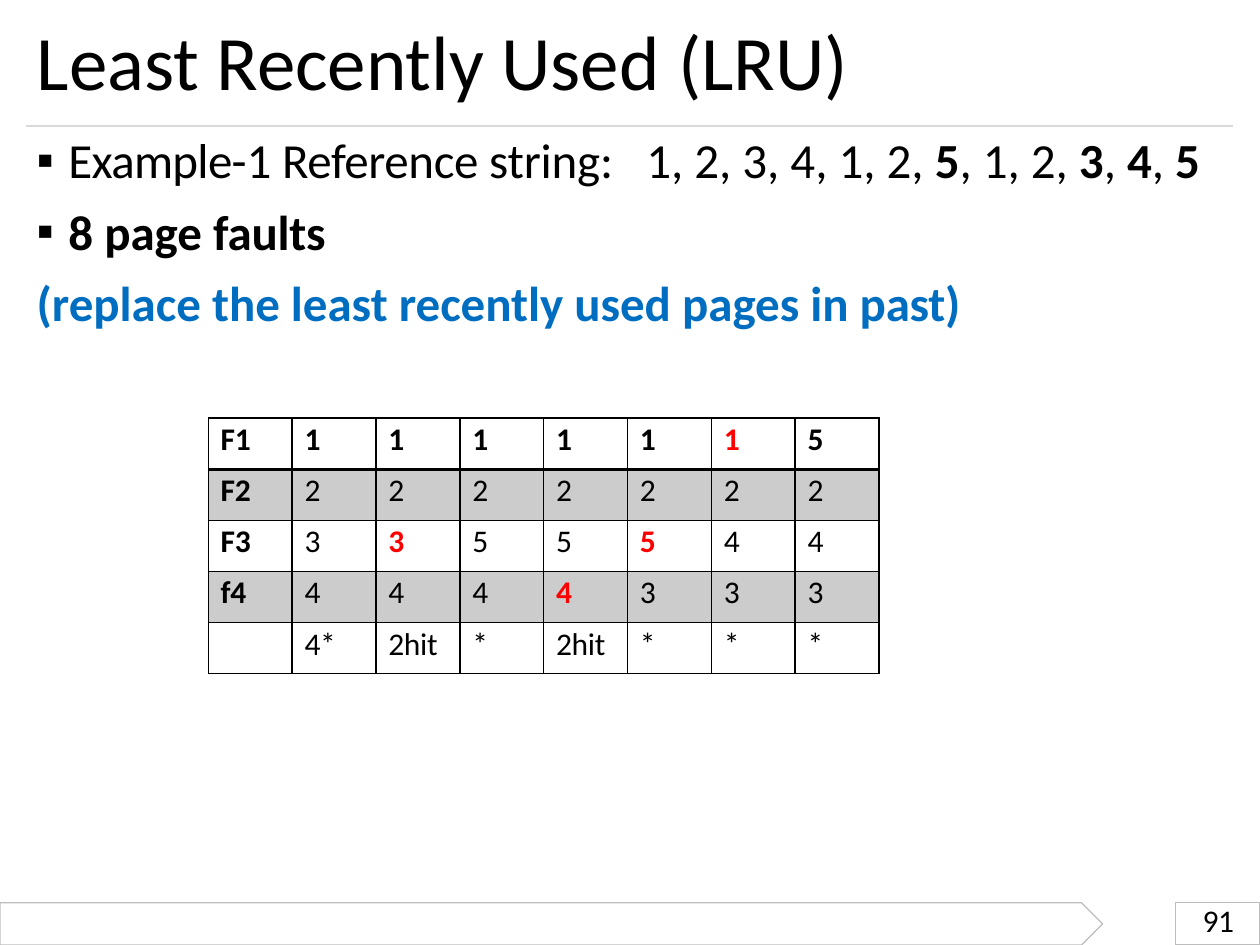
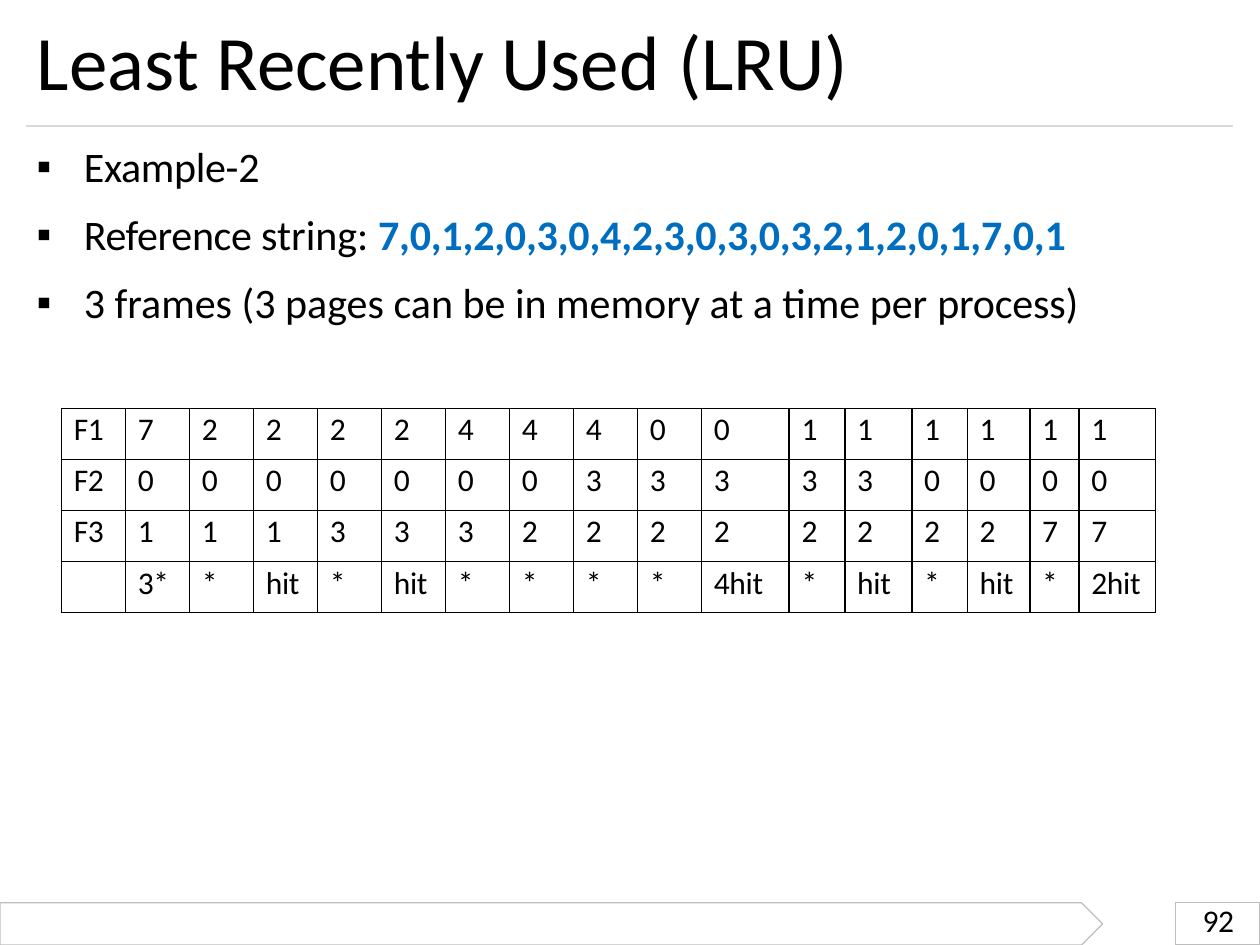
from typing import NamedTuple

from lxml.etree import SubElement
from pptx import Presentation
from pptx.dml.color import RGBColor
from pptx.enum.shapes import MSO_CONNECTOR, MSO_SHAPE
from pptx.enum.text import MSO_ANCHOR, MSO_AUTO_SIZE, PP_ALIGN
from pptx.oxml.ns import qn
from pptx.util import Cm, Pt

BLACK = RGBColor(0x00, 0x00, 0x00)
BLUE = RGBColor(0x00, 0x6E, 0xC0)
RED = RGBColor(0xFF, 0x00, 0x00)
BAND_GREY = RGBColor(0xCC, 0xCC, 0xCC)
FOOTER_GREY = RGBColor(0xBD, 0xBD, 0xBD)
RULE_GREY = RGBColor(0xD9, 0xD9, 0xD9)
FONT = "Calibri"
ROW_HEIGHT = 1.03


class Box(NamedTuple):
    """Place and size in centimetres."""
    left: float
    top: float
    width: float
    height: float

    def lengths(self):
        return [Cm(value) for value in self]


class Span(NamedTuple):
    """A stretch of text; spacing is in hundredths of a point."""
    text: str
    bold: bool = False
    color: RGBColor = BLACK
    spacing: int = 0


class Item(NamedTuple):
    """A body paragraph; hanging is its bullet indent in centimetres."""
    spans: list
    hanging: float = 0
    tab: float = 0


TITLE_BOX = Box(0.74, 0.25, 23.9, 1.93)
FOOTER_BOX = Box(0, 18.2, 25.4, 0.85)


def write_spans(para, spans, size):
    for span in spans:
        run = para.add_run()
        run.text = span.text
        run.font.name = FONT
        run.font.size = Pt(size)
        run.font.bold = span.bold
        run.font.color.rgb = span.color
        run._r.get_or_add_rPr().set("spc", str(span.spacing))


def prepare_frame(frame, top_margin=0):
    frame.word_wrap = True
    frame.auto_size = MSO_AUTO_SIZE.SHAPE_TO_FIT_TEXT
    frame.vertical_anchor = MSO_ANCHOR.TOP
    frame.margin_left = frame.margin_right = frame.margin_bottom = 0
    frame.margin_top = Cm(top_margin)


def place(shape, box):
    shape.left, shape.top, shape.width, shape.height = box.lengths()


def add_title(page, box):
    title = page.shapes.title
    place(title, box)
    prepare_frame(title.text_frame, 0.03)
    para = title.text_frame.paragraphs[0]
    para.alignment = PP_ALIGN.LEFT
    write_spans(para, [Span("Least Recently Used "), Span("(LRU)", spacing=-10)], 44)


def add_rule(page, box):
    """Draw the line that parts the title from the body, below the title box."""
    y = Cm(box.top + box.height + 0.36)
    rule = page.shapes.add_connector(
        MSO_CONNECTOR.STRAIGHT, Cm(box.left - 0.21), y, Cm(box.left + box.width + 0.22), y)
    rule.line.color.rgb = RULE_GREY
    rule.line.width = Pt(0.72)
    SubElement(rule._element.spPr, qn("a:effectLst"))


def add_outline(page, preset, box):
    outline = page.shapes.add_shape(preset, *box.lengths())
    outline.shadow.inherit = False
    outline.fill.background()
    outline.line.color.rgb = FOOTER_GREY
    outline.line.width = Pt(0.72)


def add_footer(page, box, number):
    add_outline(page, MSO_SHAPE.PENTAGON, box._replace(width=22.23))
    number_left = box.left + box.width - 1.7
    add_outline(page, MSO_SHAPE.RECTANGLE, box._replace(left=number_left, width=1.7))
    label = page.shapes.add_textbox(
        *Box(number_left + 0.43, box.top + 0.09, 0.86, 0.7).lengths())
    prepare_frame(label.text_frame)
    para = label.text_frame.paragraphs[0]
    para.alignment = PP_ALIGN.CENTER
    para.line_spacing = Pt(18.1)
    write_spans(para, [Span(str(number), spacing=-20)], 18)


def set_bullet(para, item):
    properties = para._p.get_or_add_pPr()
    properties.set("marL", str(Cm(item.hanging)))
    properties.set("indent", str(-Cm(item.hanging)))
    if item.hanging:
        SubElement(properties, qn("a:buChar"), char="▪")
    else:
        SubElement(properties, qn("a:buNone"))
    if item.tab:
        tabs = SubElement(properties, qn("a:tabLst"))
        SubElement(tabs, qn("a:tab"), pos=str(Cm(item.tab)), algn="l")


def add_body(page, box, items, size, gap, top_margin):
    body = page.placeholders[1]
    place(body, box)
    frame = body.text_frame
    prepare_frame(frame, top_margin)
    for index, item in enumerate(items):
        para = frame.add_paragraph() if index else frame.paragraphs[0]
        set_bullet(para, item)
        para.space_before = Pt(gap if index else 0)
        write_spans(para, item.spans, size)


def set_borders(cell, top, bottom):
    properties = cell._tc.get_or_add_tcPr()
    for side, width in (("L", 1), ("R", 1), ("T", top), ("B", bottom)):
        line = SubElement(properties, qn(f"a:ln{side}"), w=str(Pt(width)))
        fill = SubElement(line, qn("a:solidFill"))
        SubElement(fill, qn("a:srgbClr"), val=str(BLACK))


def add_frame_table(page, left, top, widths, rows, replaced=(), emphasis=False):
    """Add a table of page frames; replaced holds the (row, column) of red cells.

    Emphasis gives bold labels, a heavy line under the first row and grey bands.
    """
    box = Box(left, top, sum(widths), ROW_HEIGHT * len(rows))
    table = page.shapes.add_table(len(rows), len(widths), *box.lengths()).table
    table.first_row = table.horz_banding = False
    for column, width in zip(table.columns, widths):
        column.width = Cm(width)
    for r, values in enumerate(rows):
        table.rows[r].height = Cm(ROW_HEIGHT)
        for c, value in enumerate(values):
            cell = table.cell(r, c)
            set_borders(cell, top=2.25 if emphasis and r == 1 else 1,
                        bottom=2.25 if emphasis and r == 0 else 1)
            if emphasis and r % 2:
                cell.fill.solid()
                cell.fill.fore_color.rgb = BAND_GREY
            else:
                cell.fill.background()
            cell.margin_left, cell.margin_top = Cm(0.25), Cm(0.05)
            cell.margin_right = cell.margin_bottom = 0
            is_red = (r, c) in replaced
            bold = is_red or emphasis and (r == 0 or c == 0)
            if value:
                span = Span(value, bold, RED if is_red else BLACK, -20)
                write_spans(cell.text_frame.paragraphs[0], [span], 18)


def add_page(deck, number):
    page = deck.slides.add_slide(deck.slide_layouts[1])
    add_title(page, TITLE_BOX)
    add_rule(page, TITLE_BOX)
    add_footer(page, FOOTER_BOX, number)
    return page


def add_first_example(deck):
    page = add_page(deck, 91)
    items = [
        Item([Span("Example-", spacing=-40), Span("1"), Span(" Reference ", spacing=-20),
              Span("string:", spacing=-10), Span("\t1, 2, 3, 4, 1, 2, "),
              Span("5", True), Span(", 1, 2, "), Span("3", True), Span(", "),
              Span("4", True), Span(", "), Span("5", True, spacing=-50)],
             hanging=0.64, tab=12.29),
        Item([Span("8 page ", True), Span("faults", True, spacing=-10)], hanging=0.64),
        Item([Span("(replace the least recently used pages in ", True, BLUE),
              Span("past)", True, BLUE, -10)]),
    ]
    add_body(page, Box(0.74, 2.34, 23.52, 4.37), items, size=28, gap=7, top_margin=0.28)
    rows = [
        ["F1", "1", "1", "1", "1", "1", "1", "5"],
        ["F2", "2", "2", "2", "2", "2", "2", "2"],
        ["F3", "3", "3", "5", "5", "5", "4", "4"],
        ["f4", "4", "4", "4", "4", "3", "3", "3"],
        ["", "4*", "2hit", "*", "2hit", "*", "*", "*"],
    ]
    add_frame_table(page, 4.2, 8.43, [1.69] * 8, rows,
                    replaced={(0, 6), (2, 2), (2, 5), (3, 4)}, emphasis=True)


def add_second_example(deck):
    page = add_page(deck, 92)
    items = [
        Item([Span("Example-", spacing=-20), Span("2", spacing=-50)], hanging=0.95),
        Item([Span("Reference ", spacing=-20), Span("string: "),
              Span("7,0,1,2,0,3,0,4,2,3,0,3,0,3,2,1,2,0,1,7,0,1", True, BLUE, -10)],
             hanging=0.95),
        Item([Span("3 frames (3 pages can be in memory at a time per "),
              Span("process)", spacing=-10)], hanging=0.95),
    ]
    add_body(page, Box(0.74, 2.46, 21, 4.19), items, size=24, gap=10, top_margin=0.38)
    rows = [
        ["F1", *"7222244400111111"],
        ["F2", *"0000000333330000"],
        ["F3", *"1113332222222277"],
        ["", "3*", "*", "hit", "*", "hit", "*", "*", "*", "*", "4hit",
         "*", "hit", "*", "hit", "*", "2hit"],
    ]
    widths = [1.29] * 10 + [1.77, 1.12, 1.35, 1.12, 1.26, 0.99, 1.54]
    add_frame_table(page, 1.24, 8.23, widths, rows)


def main():
    deck = Presentation()
    deck.slide_width, deck.slide_height = Cm(25.4), Cm(19.05)
    add_first_example(deck)
    add_second_example(deck)
    deck.save("out.pptx")


if __name__ == "__main__":
    main()
